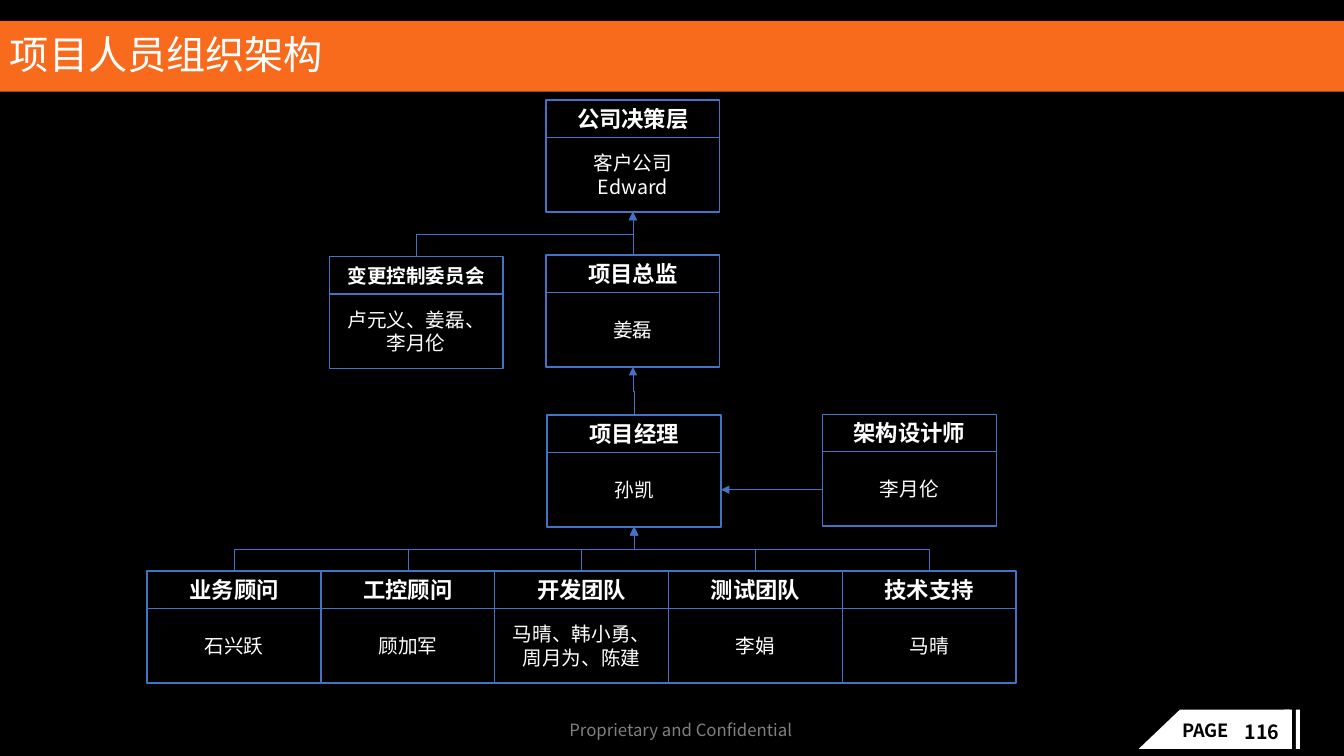
from typing import NamedTuple

from lxml import etree
from pptx import Presentation
from pptx.dml.color import RGBColor
from pptx.enum.shapes import MSO_CONNECTOR, MSO_SHAPE
from pptx.enum.text import MSO_ANCHOR, PP_ALIGN
from pptx.oxml.ns import qn
from pptx.util import Cm, Pt

RECT, WEDGE = MSO_SHAPE.RECTANGLE, MSO_SHAPE.RIGHT_TRIANGLE
ELBOW, STRAIGHT = MSO_CONNECTOR.ELBOW, MSO_CONNECTOR.STRAIGHT
LEFT, CENTER = PP_ALIGN.LEFT, PP_ALIGN.CENTER
TOP, MIDDLE = MSO_ANCHOR.TOP, MSO_ANCHOR.MIDDLE

BLACK = RGBColor(0x00, 0x00, 0x00)
WHITE = RGBColor(0xFF, 0xFF, 0xFF)
ORANGE = RGBColor(0xF8, 0x6B, 0x1D)
BLUE = RGBColor(0x44, 0x72, 0xC4)
GRAY = RGBColor(0x80, 0x80, 0x80)
FONT = "Noto Sans CJK SC"

# Card sizes and team row, in centimetres
WIDE, HEAD, BODY = 4.38, 0.94, 1.88
ROW_X, ROW_Y = 3.71, 14.39


class Card(NamedTuple):
    role: str
    names: tuple[str, ...]
    x: float
    y: float
    size: int = 16

    @property
    def mid(self) -> float:
        return self.x + WIDE / 2

    @property
    def base(self) -> float:
        return self.y + HEAD + BODY


class Label(NamedTuple):
    text: str
    x: float
    y: float
    w: float
    h: float
    style: dict


class Block(NamedTuple):
    kind: MSO_SHAPE
    x: float
    w: float


BOARD = Card("公司决策层", ("客户公司", "Edward"), 13.76, 2.52)
CHIEF = Card("项目总监", ("姜磊",), 13.76, 6.43)
LEAD = Card("项目经理", ("孙凯",), 13.79, 10.46)
DESIGN = Card("架构设计师", ("李月伦",), 20.73, 10.44)
PANEL = Card("变更控制委员会", ("卢元义、姜磊、李月伦",), 8.3, 6.47, 14)
TEAMS = [
    Card(role, (names,), ROW_X + i * WIDE, ROW_Y)
    for i, (role, names) in enumerate([
        ("业务顾问", "石兴跃"),
        ("工控顾问", "顾加军"),
        ("开发团队", "马晴、韩小勇、周月为、陈建"),
        ("测试团队", "李娟"),
        ("技术支持", "马晴"),
    ])
]

BLOCKS = [
    Block(RECT, 29.74, 2.77),
    Block(WEDGE, 28.7, 1.04),
    Block(RECT, 32.36, 0.2),
    Block(RECT, 32.66, 0.1),
]
LABELS = [
    Label("PAGE", 29.54, 18.01, 1.85, 0.81,
          {"size": Pt(13), "bold": True, "color": BLACK}),
    Label("116", 31.12, 18.01, 1.47, 0.81,
          {"size": Pt(14), "bold": True, "color": BLACK}),
    Label("Proprietary and Confidential", 14.1, 18.01, 6.5, 0.76,
          {"size": Pt(12), "color": GRAY}),
]


def write(shape, lines: tuple[str, ...], style: dict,
          align=CENTER, anchor=MIDDLE) -> None:
    frame = shape.text_frame
    frame.word_wrap = True
    frame.vertical_anchor = anchor
    for i, line in enumerate(lines):
        para = frame.paragraphs[0] if i == 0 else frame.add_paragraph()
        para.alignment = align
        run = para.add_run()
        run.text = line
        for key, value in {"name": FONT, **style}.items():
            if key == "color":
                run.font.color.rgb = value
            else:
                setattr(run.font, key, value)
        east = etree.SubElement(run.font._element, qn("a:ea"))
        east.set("typeface", FONT)


def add_box(slide, x: float, y: float, w: float, h: float,
            fill=None, line=None, kind=RECT):
    box = slide.shapes.add_shape(kind, Cm(x), Cm(y), Cm(w), Cm(h))
    box.shadow.inherit = False
    if fill is None:
        box.fill.background()
    else:
        box.fill.solid()
        box.fill.fore_color.rgb = fill
    if line is None:
        box.line.fill.background()
    else:
        box.line.color.rgb = line
        box.line.width = Pt(1)
    return box


def add_card(slide, card: Card) -> tuple:
    head = add_box(slide, card.x, card.y, WIDE, HEAD, line=BLUE)
    write(head, (card.role,),
          {"size": Pt(card.size), "bold": True, "color": WHITE})
    body = add_box(slide, card.x, card.y + HEAD, WIDE, BODY, line=BLUE)
    write(body, card.names, {"size": Pt(14), "color": WHITE})
    return head, body


def add_arrow(slide, kind, x1: float, y1: float, x2: float, y2: float):
    arrow = slide.shapes.add_connector(kind, Cm(x1), Cm(y1), Cm(x2), Cm(y2))
    arrow.line.color.rgb = BLUE
    arrow.line.width = Pt(0.5)
    tip = etree.SubElement(arrow.line._get_or_add_ln(), qn("a:tailEnd"))
    tip.set("type", "triangle")
    etree.SubElement(arrow._element.spPr, qn("a:effectLst"))
    return arrow


def add_rise(slide, low: Card, high: Card) -> None:
    """Elbow from the top of one card up to the bottom of another."""
    dx, dy = high.mid - low.mid, low.y - high.base
    cx, cy = (high.mid + low.mid) / 2, (low.y + high.base) / 2
    left, right = cx - dy / 2, cx + dy / 2
    top, foot = cy - abs(dx) / 2, cy + abs(dx) / 2
    # The elbow is laid flat, then turned upright
    if dx > 0:
        turn, start, end = 90, right, left
    else:
        turn, start, end = 270, left, right
    arrow = add_arrow(slide, ELBOW, start, foot, end, top)
    arrow._element.spPr.find(qn("a:xfrm")).set("rot", str(turn * 60000))


def main() -> None:
    deck = Presentation()
    deck.slide_width, deck.slide_height = Cm(33.87), Cm(19.05)
    slide = deck.slides.add_slide(deck.slide_layouts[6])
    slide.background.fill.solid()
    slide.background.fill.fore_color.rgb = BLACK

    # Footer and page number
    for block in BLOCKS:
        box = add_box(slide, block.x, 17.88, block.w, 0.99, WHITE,
                      kind=block.kind)
        if block.kind == WEDGE:
            box._element.spPr.find(qn("a:xfrm")).set("flipH", "1")
    for label in LABELS:
        area = slide.shapes.add_textbox(
            Cm(label.x), Cm(label.y), Cm(label.w), Cm(label.h))
        write(area, (label.text,), label.style, LEFT, TOP)

    # Title band
    band = add_box(slide, 0, 0.53, 33.87, 1.78, ORANGE)
    write(band, ("项目人员组织架构",), {"size": Pt(28), "color": WHITE}, LEFT)
    band.text_frame.paragraphs[0].line_spacing = 0.9

    # Cards
    parts = {card: add_card(slide, card)
             for card in (BOARD, CHIEF, LEAD, DESIGN, *TEAMS, PANEL)}

    # Reporting lines
    for team in TEAMS:
        add_rise(slide, team, LEAD)
    add_rise(slide, LEAD, CHIEF)
    add_rise(slide, PANEL, BOARD)
    half = HEAD + BODY / 2
    add_arrow(slide, ELBOW, DESIGN.x, DESIGN.y + half,
              LEAD.x + WIDE, LEAD.y + half)
    link = add_arrow(slide, STRAIGHT, CHIEF.mid, CHIEF.y,
                     BOARD.mid, BOARD.base)
    link.begin_connect(parts[CHIEF][0], 0)
    link.end_connect(parts[BOARD][1], 2)

    deck.save("out.pptx")


if __name__ == "__main__":
    main()
